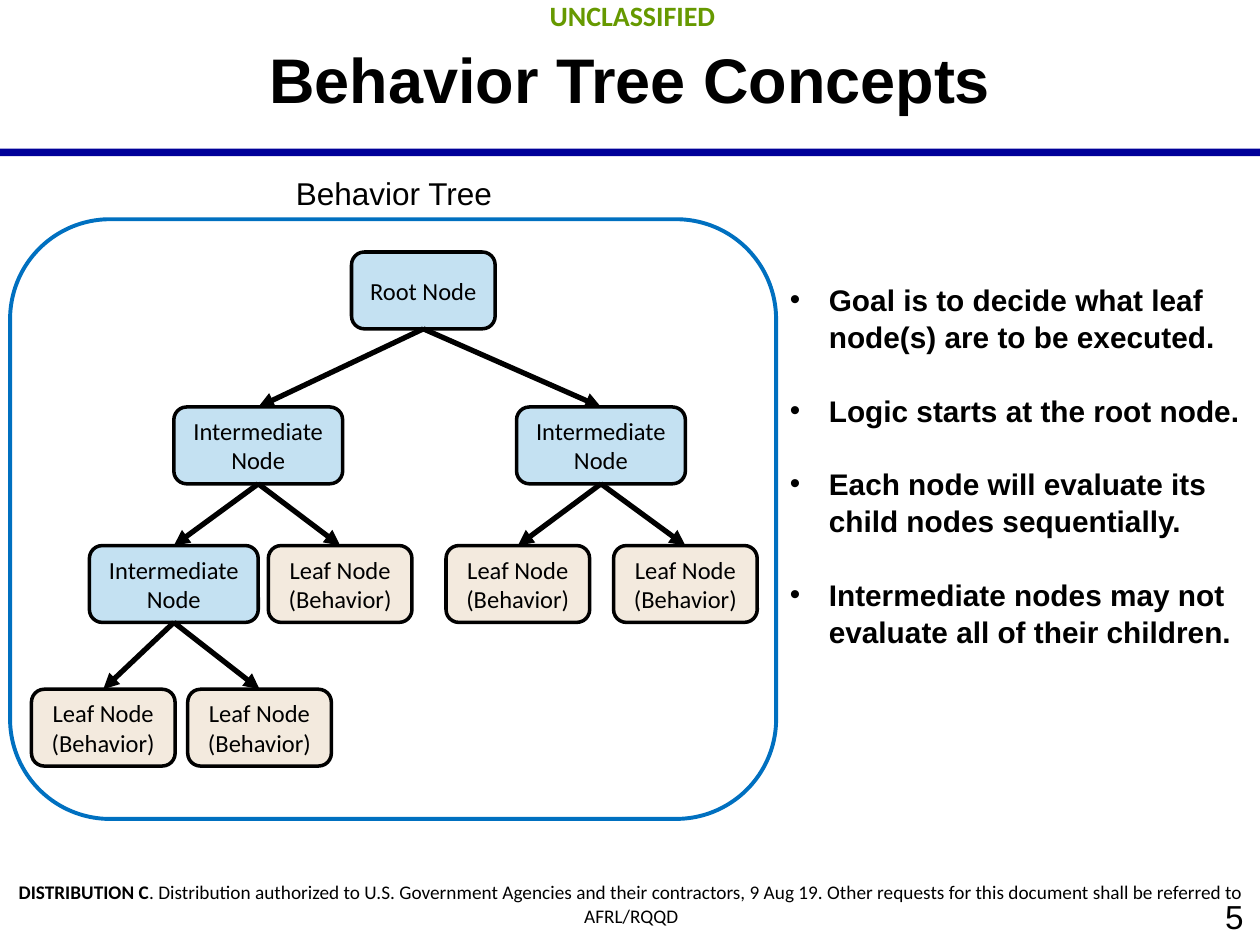
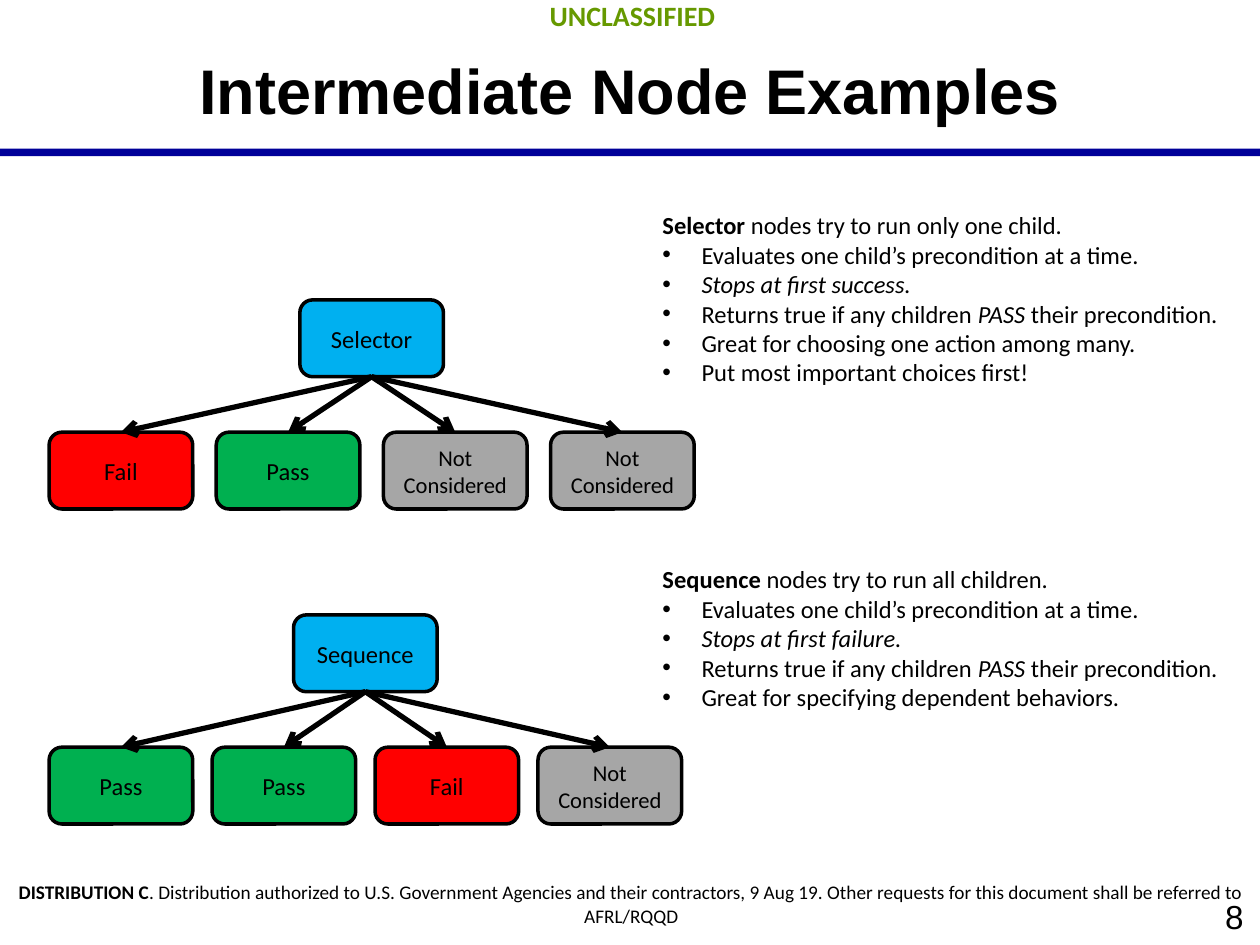
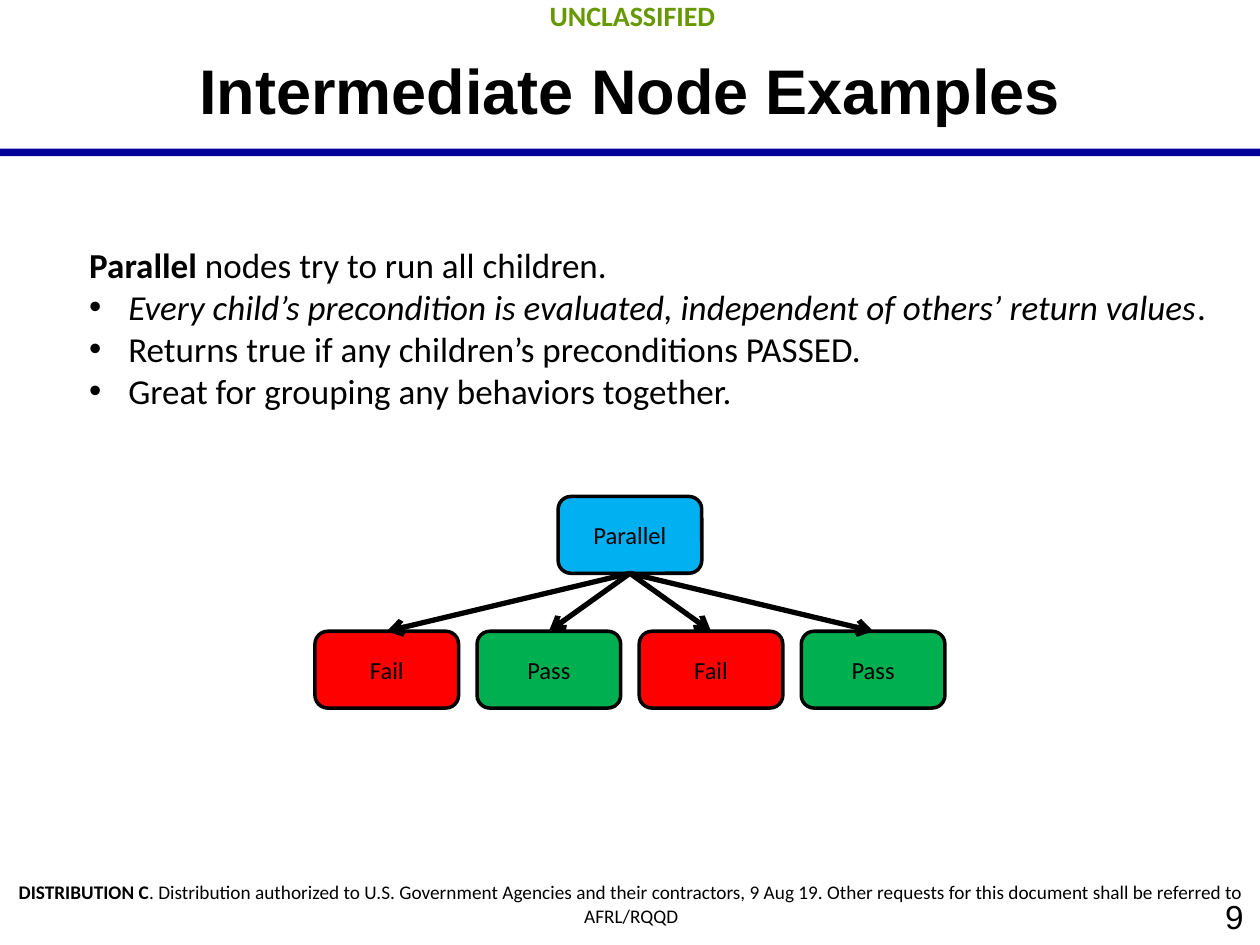
from lxml import etree
from pptx import Presentation
from pptx.dml.color import RGBColor
from pptx.enum.shapes import MSO_CONNECTOR, MSO_SHAPE
from pptx.enum.text import MSO_ANCHOR, MSO_AUTO_SIZE, PP_ALIGN
from pptx.oxml.ns import qn
from pptx.util import Inches, Pt

RECT, ROUNDED = MSO_SHAPE.RECTANGLE, MSO_SHAPE.ROUNDED_RECTANGLE
STRAIGHT = MSO_CONNECTOR.STRAIGHT
TOP, MIDDLE = MSO_ANCHOR.TOP, MSO_ANCHOR.MIDDLE
LEFT, CENTER, RIGHT = PP_ALIGN.LEFT, PP_ALIGN.CENTER, PP_ALIGN.RIGHT
TOP_SIDE, BOTTOM_SIDE = 0, 2
TITLE_ONLY = 5

COLORS = {
    "text": "000000",
    "band": "000099",
    "marking": "669900",
    "panel": "0070C0",
    "inner": "C4E1F2",
    "leaf": "F3EADE",
    "root": "00B0F0",
    "Pass": "00B050",
    "Fail": "FF0000",
    "Not Considered": "A6A6A6",
}
HEAD_FONT, BODY_FONT = "Arial", "Calibri"
NODE_WIDTH, NODE_HEIGHT = 1.14, 0.61
INNER_WIDTH = 1.34
WIDE_MARGINS = {"margin_left": Inches(0.13), "margin_right": Inches(0.13),
                "margin_top": Inches(0.07), "margin_bottom": Inches(0.07)}
BULLET_INDENT = Inches(0.31)

DISTRIBUTION = [
    ("DISTRIBUTION C", "b"),
    (". Distribution authorized to U.S. Government Agencies and their contractors, "
     "9 Aug 19. Other requests for this document shall be referred to AFRL/RQQD", ""),
]
GOALS = [
    "Goal is to decide what leaf node(s) are to be executed.",
    "Logic starts at the root node.",
    "Each node will evaluate its child nodes sequentially.",
    "Intermediate nodes may not evaluate all of their children.",
]
ONE_AT_A_TIME = [("Evaluates one child’s precondition at a time.", "")]
TRUE_IF_ANY = [("Returns true if any children ", ""), ("PASS", "i"),
               (" their precondition.", "")]
SELECTOR_NOTES = [
    [("Selector", "b"), (" nodes try to run only one child.", "")],
    ONE_AT_A_TIME,
    [("Stops at first success.", "i")],
    TRUE_IF_ANY,
    [("Great for choosing one action among many.", "")],
    [("Put most important choices first!", "")],
]
SEQUENCE_NOTES = [
    [("Sequence", "b"), (" nodes try to run all children.", "")],
    ONE_AT_A_TIME,
    [("Stops at first failure.", "i")],
    TRUE_IF_ANY,
    [("Great for specifying dependent behaviors.", "")],
]
PARALLEL_NOTES = [
    [("Parallel", "b"), (" nodes try to run all children.", "")],
    [("Every child’s precondition is evaluated, independent of others’ return values", "i"),
     (".", "")],
    [("Returns true if any children’s preconditions PASSED.", "")],
    [("Great for grouping any behaviors together.", "")],
]

# kind, left and top within the panel, index of the parent
BEHAVIOR_NODES = [
    ("root", 2.71, 0.26, None),
    ("inner", 1.3, 1.49, 0),
    ("inner", 4.02, 1.49, 0),
    ("inner", 0.63, 2.59, 1),
    ("leaf", 2.05, 2.59, 1),
    ("leaf", 3.46, 2.59, 2),
    ("leaf", 4.79, 2.59, 2),
    ("leaf", 0.17, 3.73, 3),
    ("leaf", 1.41, 3.73, 3),
]
# lines, width and colour of each kind
NODE_KINDS = {
    "root": (["Root Node"], NODE_WIDTH, "inner"),
    "inner": (["Intermediate Node"], INNER_WIDTH, "inner"),
    "leaf": (["Leaf Node", "(Behavior)"], NODE_WIDTH, "leaf"),
}


def rgb(name):
    return RGBColor.from_string(COLORS[name])


def set_format(target, values):
    for attribute, value in values.items():
        setattr(target, attribute, value)


def add_bullet(paragraph):
    properties = paragraph._p.get_or_add_pPr()
    properties.set("marL", str(BULLET_INDENT))
    properties.set("indent", str(-BULLET_INDENT))
    etree.SubElement(properties, qn("a:buFont")).set("typeface", "Arial")
    etree.SubElement(properties, qn("a:buChar")).set("char", "•")


def write(frame, paragraphs, size, font=BODY_FONT, color="text", align=LEFT,
          bulleted_from=None, **frame_format):
    """Fill a frame with paragraphs, each a list of (text, style letters) runs."""
    set_format(frame, {"word_wrap": True, **frame_format})
    for index, runs in enumerate(paragraphs):
        paragraph = frame.add_paragraph() if index else frame.paragraphs[0]
        paragraph.alignment = align
        if bulleted_from is not None and index >= bulleted_from:
            add_bullet(paragraph)
        for text, style in runs:
            run = paragraph.add_run()
            run.text = text
            set_format(run.font, {"name": font, "size": Pt(size),
                                  "bold": "b" in style, "italic": "i" in style})
            run.font.color.rgb = rgb(color)


def add_text(slide, box, paragraphs, size, **options):
    frame = slide.shapes.add_textbox(*map(Inches, box)).text_frame
    write(frame, paragraphs, size, **options)
    return frame


def add_box(slide, preset, box, fill=None, line=None, line_width=2):
    shape = slide.shapes.add_shape(preset, *map(Inches, box))
    shape.shadow.inherit = False
    if fill:
        shape.fill.solid()
        shape.fill.fore_color.rgb = rgb(fill)
    else:
        shape.fill.background()
    if line:
        shape.line.color.rgb = rgb(line)
        shape.line.width = Pt(line_width)
    else:
        shape.line.fill.background()
    return shape


def add_node(slide, left, top, lines, fill, width=NODE_WIDTH, size=14):
    node = add_box(slide, ROUNDED, (left, top, width, NODE_HEIGHT), fill, "text")
    write(node.text_frame, [[(line, "")] for line in lines], size,
          align=CENTER, vertical_anchor=MIDDLE)
    return node


def add_arrow(slide, parent, child, head):
    arrow = slide.shapes.add_connector(STRAIGHT, 0, 0, 0, 0)
    arrow.begin_connect(parent, BOTTOM_SIDE)
    arrow.end_connect(child, TOP_SIDE)
    arrow.line.color.rgb = rgb("text")
    arrow.line.width = Pt(3)
    etree.SubElement(arrow.line._get_or_add_ln(), qn("a:tailEnd")).set("type", head)
    etree.SubElement(arrow._element.spPr, qn("a:effectLst"))


def add_base_slide(deck, title, number, title_box, title_anchor):
    """Add a slide with its title, band, marking, distribution line and number."""
    slide = deck.slides.add_slide(deck.slide_layouts[TITLE_ONLY])
    left, top, width, height = map(Inches, title_box)
    set_format(slide.shapes.title,
               {"left": left, "top": top, "width": width, "height": height})
    write(slide.shapes.title.text_frame, [[(title, "b")]], 36, font=HEAD_FONT,
          align=CENTER, vertical_anchor=title_anchor,
          auto_size=MSO_AUTO_SIZE.NONE, **WIDE_MARGINS)
    add_box(slide, RECT, (0, 1.18, 10, 0.06), "band")
    add_text(slide, (0.02, -0.08, 10, 0.4), [[("UNCLASSIFIED", "b")]], 16,
             color="marking", align=CENTER, **WIDE_MARGINS)
    add_text(slide, (0, 6.92, 10.02, 0.5), [DISTRIBUTION], 11,
             align=CENTER, **WIDE_MARGINS)
    add_text(slide, (8, 7.05, 2, 0.45), [[(str(number), "")]], 19, font=HEAD_FONT,
             align=RIGHT, vertical_anchor=MIDDLE, **WIDE_MARGINS)
    return slide


def add_behavior_tree(slide, box):
    left, top, width, _ = box
    add_box(slide, ROUNDED, box, line="panel", line_width=2.25)
    add_text(slide, (left + 2.17, top - 0.41, 1.77, 0.4), [[("Behavior Tree", "")]],
             18, font=HEAD_FONT, word_wrap=False)
    nodes = []
    for kind, x, y, _ in BEHAVIOR_NODES:
        lines, node_width, fill = NODE_KINDS[kind]
        nodes.append(add_node(slide, left + x, top + y, lines, fill, node_width))
    for node, (*_, parent) in zip(nodes, BEHAVIOR_NODES):
        if parent is not None:
            add_arrow(slide, nodes[parent], node, "triangle")


def add_goals(slide, box):
    frame = add_text(slide, box, [[(goal, "b")] for goal in GOALS], 17,
                     font=HEAD_FONT, bulleted_from=0)
    for index, paragraph in enumerate(frame.paragraphs):
        paragraph.line_spacing = 1.05
        if index:
            paragraph.space_before = Pt(20.5)


def add_example_tree(slide, box, name, results):
    """Centre a root over a row of evenly spaced results that fills the box."""
    left, top, width, height = box
    root = add_node(slide, left + (width - NODE_WIDTH) / 2, top, [name], "root")
    pitch = (width - NODE_WIDTH) / (len(results) - 1)
    for index, result in enumerate(results):
        size = 12.9 if result == "Not Considered" else 14
        child = add_node(slide, left + index * pitch, top + height - NODE_HEIGHT,
                         [result], result, size=size)
        add_arrow(slide, root, child, "arrow")


def add_concepts_slide(deck):
    slide = add_base_slide(deck, "Behavior Tree Concepts", 5, (0.5, 0, 9, 1.25), MIDDLE)
    add_behavior_tree(slide, (0.08, 1.74, 6.08, 4.76))
    add_goals(slide, (6.17, 2.17, 3.83, 3.26))


def add_examples_slide(deck, number, examples, size):
    slide = add_base_slide(deck, "Intermediate Node Examples", number,
                           (0.5, 0.34, 9, 0.59), TOP)
    for name, results, tree_box, notes, notes_box in examples:
        add_example_tree(slide, tree_box, name, results)
        add_text(slide, notes_box, notes, size, bulleted_from=1)


def main():
    deck = Presentation()
    deck.slide_width, deck.slide_height = Inches(10), Inches(7.5)
    add_concepts_slide(deck)
    add_examples_slide(deck, 8, [
        ("Selector", ["Fail", "Pass", "Not Considered", "Not Considered"],
         (0.39, 2.38, 5.12, 1.66), SELECTOR_NOTES, (5.16, 1.62, 4.74, 1.51)),
        ("Sequence", ["Pass", "Pass", "Fail", "Not Considered"],
         (0.39, 4.88, 5.02, 1.66), SEQUENCE_NOTES, (5.16, 4.43, 4.74, 1.28)),
    ], 14)
    add_examples_slide(deck, 9, [
        ("Parallel", ["Fail", "Pass", "Fail", "Pass"],
         (2.5, 3.94, 5, 1.68), PARALLEL_NOTES, (0.61, 1.88, 9.39, 1.45)),
    ], 20)
    deck.save("out.pptx")


if __name__ == "__main__":
    main()
